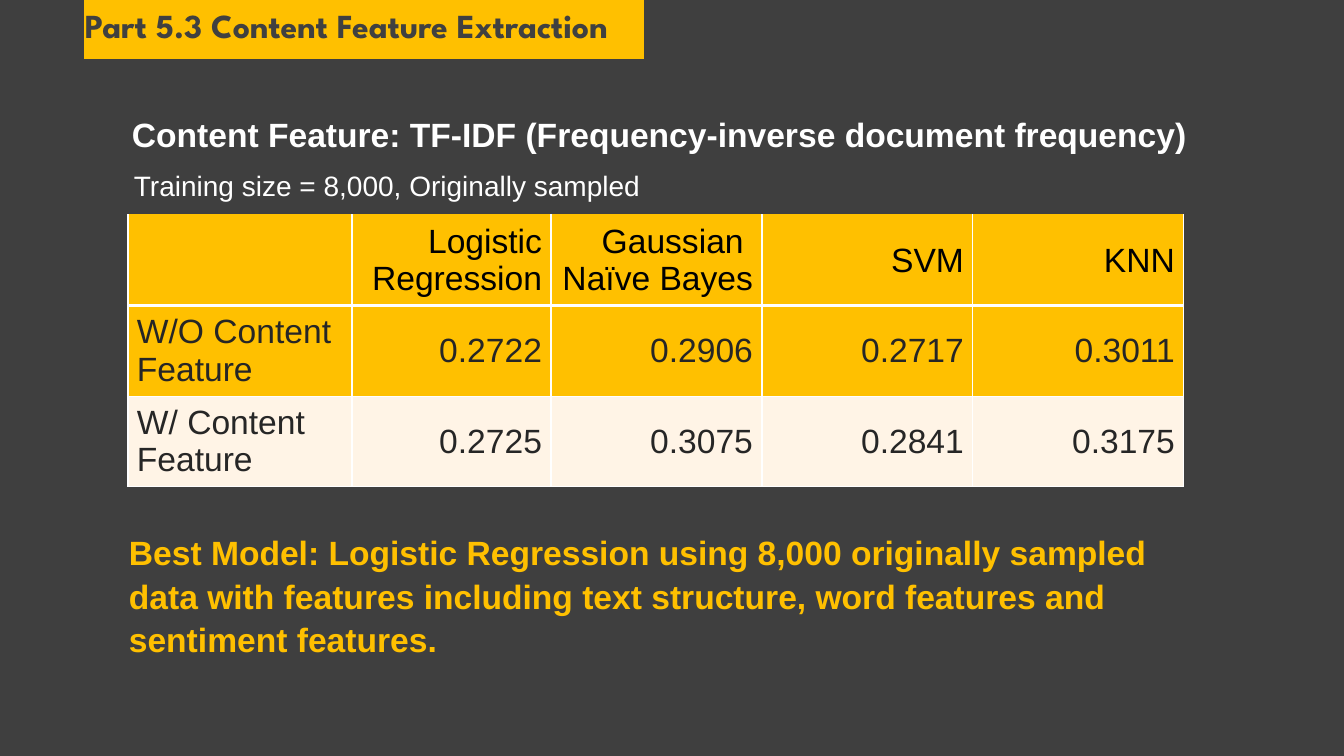
from lxml import etree
from pptx import Presentation
from pptx import util as u
from pptx.dml.color import RGBColor
from pptx.enum import shapes, text
from pptx.oxml import ns

PX = 12700 / 1.4  # EMU in one px, at 100.8 px to the inch

DARK = RGBColor(0x3F, 0x3F, 0x3F)
TITLE_GREY = RGBColor(0x40, 0x40, 0x40)
GOLD = RGBColor(0xFF, 0xC0, 0x00)
CREAM = RGBColor(0xFF, 0xF4, 0xE6)
WHITE = RGBColor(0xFF, 0xFF, 0xFF)
HEADER_INK = RGBColor(0x01, 0x01, 0x01)
BODY_INK = RGBColor(0x26, 0x26, 0x26)


def px(*lengths):
    return [u.Emu(round(length * PX)) for length in lengths]


def write(frame, words, size=24, font="Arial", color=WHITE, bold=False,
          align=text.PP_ALIGN.LEFT, spacing=None):
    frame.word_wrap = True
    for index, line in enumerate(words.split("\n")):
        para = frame.paragraphs[0] if index == 0 else frame.add_paragraph()
        para.alignment = align
        para.line_spacing = spacing
        span = para.add_run()
        span.text = line
        span.font.size = u.Pt(size)
        span.font.name = font
        span.font.bold = bold
        span.font.color.rgb = color


deck = Presentation()
deck.slide_width, deck.slide_height = px(1344, 756)
page = deck.slides.add_slide(deck.slide_layouts[6])
page.background.fill.solid()
page.background.fill.fore_color.rgb = DARK

# Title band
band = page.shapes.add_shape(shapes.MSO_SHAPE.RECTANGLE, *px(84, 0, 560, 59))
band.shadow.inherit = False
band.fill.solid()
band.fill.fore_color.rgb = GOLD
band.line.fill.background()

# Title, headings and conclusion
for place, words, style in [
    ((75, 4, 593, 54), "Part 5.3 Content Feature Extraction",
     dict(font="League Spartan", color=TITLE_GREY, bold=True, spacing=0.9)),
    ((122, 106, 1120, 45),
     "Content Feature: TF-IDF (Frequency-inverse document frequency)",
     dict(bold=True, spacing=1.08)),
    ((124, 161, 911, 44), "Training size = 8,000, Originally sampled",
     dict(size=20, spacing=1.08)),
    ((119, 524, 1070, 132),
     "Best Model: Logistic Regression using 8,000 originally sampled data with "
     "features including text structure, word features and sentiment features.",
     dict(color=GOLD, bold=True, spacing=1.08)),
]:
    box = page.shapes.add_textbox(*px(*place))
    write(box.text_frame, words, **style)

# Results table
results = [
    ["", "Logistic Regression", "Gaussian \nNaïve Bayes", "SVM", "KNN"],
    ["W/O Content Feature", "0.2722", "0.2906", "0.2717", "0.3011"],
    ["W/ Content Feature", "0.2725", "0.3075", "0.2841", "0.3175"],
]
widths = px(224, 199, 211, 211, 211)
row_fills = [GOLD, GOLD, CREAM]
table = page.shapes.add_table(3, 5, *px(128, 215, 1056, 255)).table
for column, width in zip(table.columns, widths):
    column.width = width

for r, row in enumerate(results):
    table.rows[r].height = px(85)[0]
    for c, words in enumerate(row):
        cell = table.cell(r, c)
        cell.vertical_anchor = text.MSO_ANCHOR.MIDDLE
        cell.margin_left, cell.margin_right = px(9, 9)
        cell.margin_top, cell.margin_bottom = px(5, 5)
        write(cell.text_frame, words,
              color=HEADER_INK if r == 0 else BODY_INK,
              align=text.PP_ALIGN.RIGHT if c else text.PP_ALIGN.LEFT)

        # White borders, thick under the header, gold above it
        props = cell._tc.get_or_add_tcPr()
        for side in "LRTB":
            thick = (r, side) in [(0, "B"), (1, "T")]
            color = GOLD if (r, side) == (0, "T") else WHITE
            line = etree.SubElement(props, ns.qn("a:ln" + side),
                                    w=str(u.Pt(3 if thick else 1)))
            fill = etree.SubElement(line, ns.qn("a:solidFill"))
            etree.SubElement(fill, ns.qn("a:srgbClr"), val=str(color))
        cell.fill.solid()
        cell.fill.fore_color.rgb = row_fills[r]

deck.save("out.pptx")
